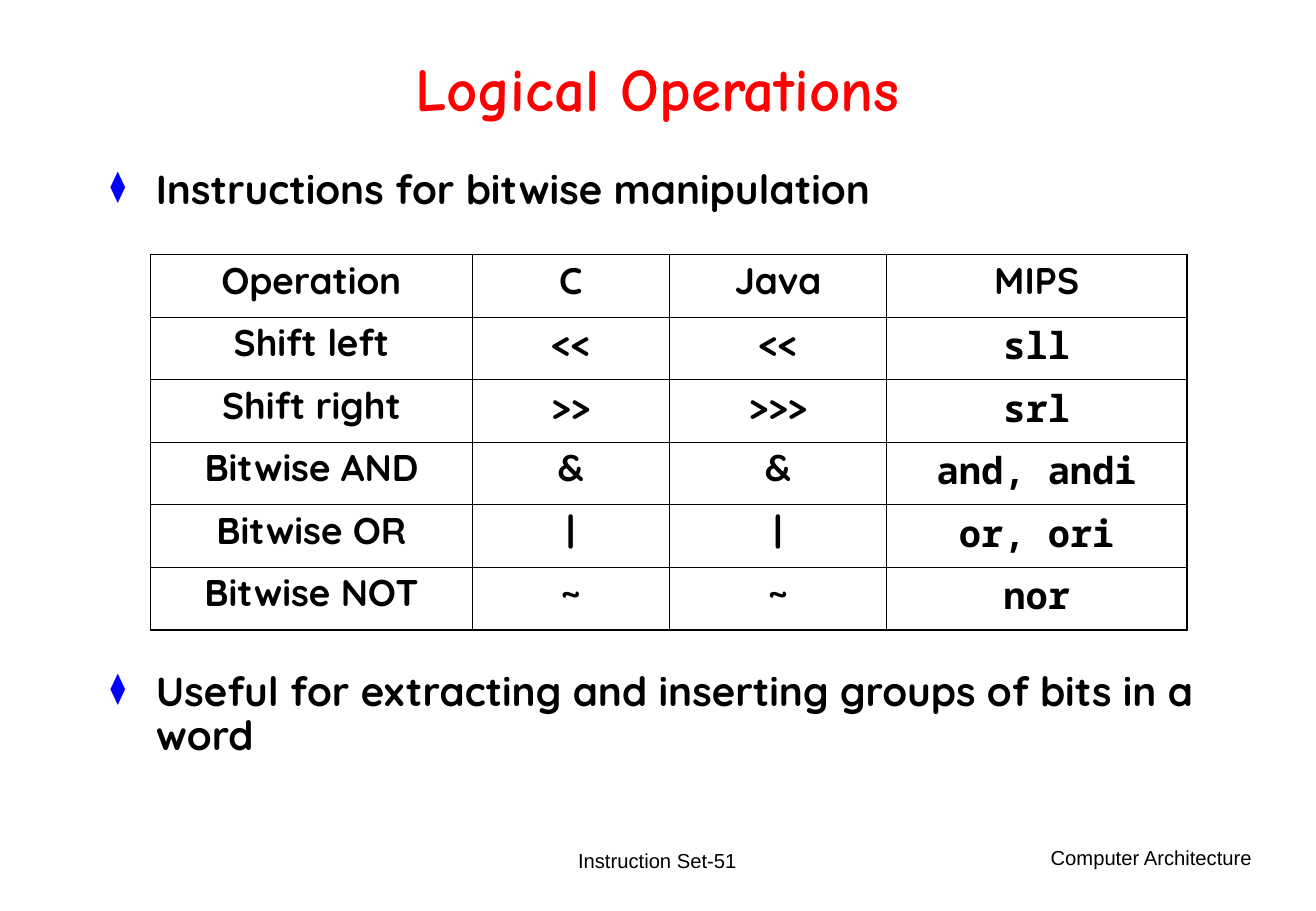
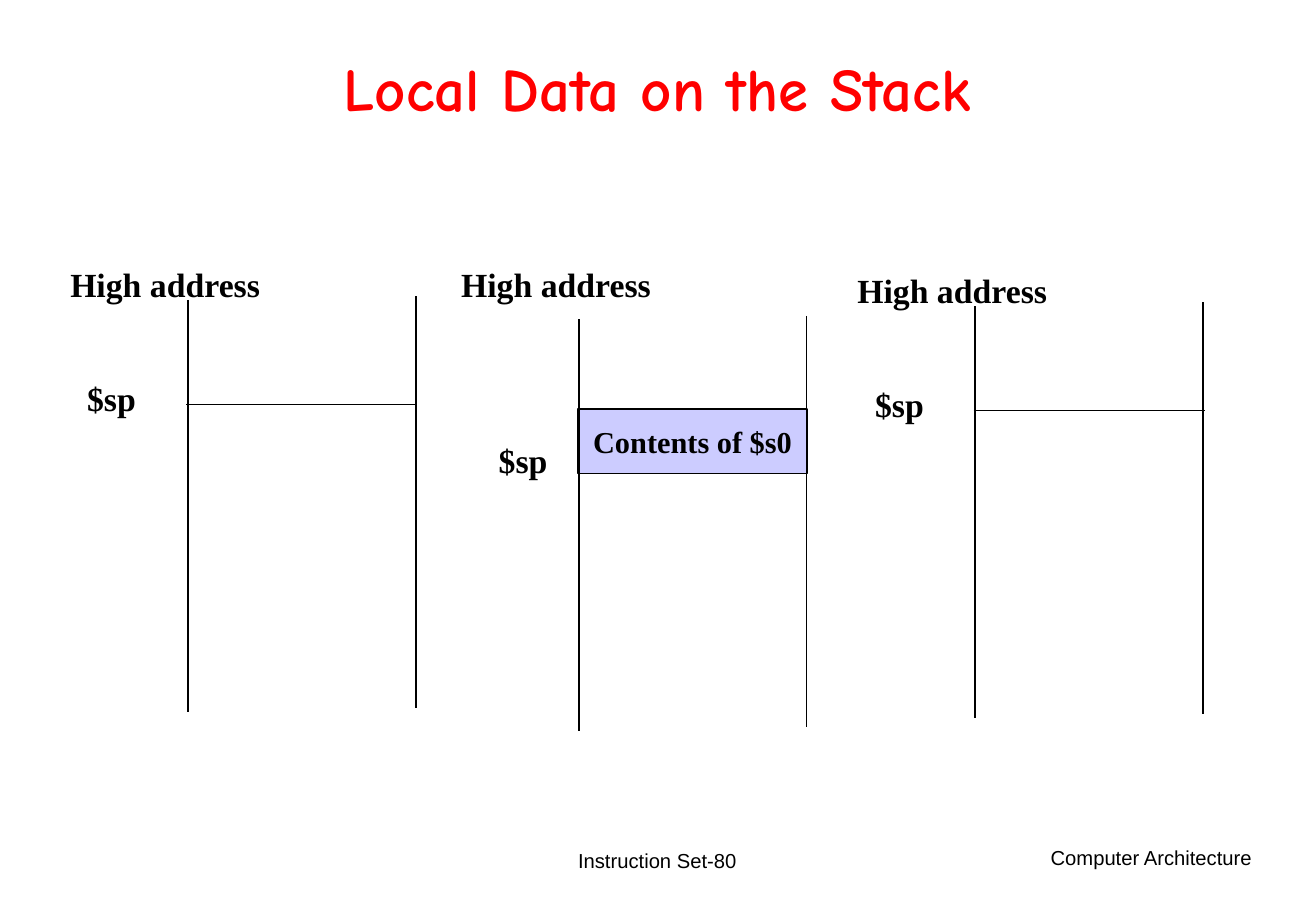
"""Build two computer architecture slides: logical operations and local data on the stack."""
from lxml import etree
from pptx import Presentation
from pptx.dml.color import RGBColor
from pptx.enum import shapes, text
from pptx.oxml import ns
from pptx.util import Pt

BLACK, RED, BLUE, LILAC = "000000", "FF0000", "0000FF", "CCCCFF"
TITLE_FONT, BODY_FONT, CODE_FONT = "Comic Neue", "Quicksand", "Noto Sans Mono"
FOOTER_FONT, DIAGRAM_FONT = "Arial", "Times New Roman"
LEFT, CENTER, RIGHT = text.PP_ALIGN.LEFT, text.PP_ALIGN.CENTER, text.PP_ALIGN.RIGHT
TOP, MIDDLE = text.MSO_ANCHOR.TOP, text.MSO_ANCHOR.MIDDLE
color = RGBColor.from_string


def write(frame, words, font, size, ink=BLACK, bold=True, align=LEFT, anchor=TOP, spacing=1.0, wrap=True):
    """Write one formatted run into a text frame and return its paragraph."""
    frame.word_wrap = wrap
    frame.vertical_anchor = anchor
    paragraph = frame.paragraphs[0]
    paragraph.alignment = align
    paragraph.line_spacing = spacing
    run = paragraph.add_run()
    run.text = words
    run.font.name = font
    run.font.size = Pt(size)
    run.font.bold = bold
    run.font.color.rgb = color(ink)
    return paragraph


def add_box(slide, left, top, width, height):
    """Add a text box and return its text frame."""
    return slide.shapes.add_textbox(Pt(left), Pt(top), Pt(width), Pt(height)).text_frame


presentation = Presentation()
presentation.slide_width = Pt(780.48)
presentation.slide_height = Pt(540)

slides = []
for title, number in [("Logical Operations", 51), ("Local Data on the Stack", 80)]:
    slide = presentation.slides.add_slide(presentation.slide_layouts[5])
    heading = slide.shapes.title
    heading.left, heading.top, heading.width, heading.height = Pt(58.3), Pt(19.4), Pt(663), Pt(71.3)
    heading.text_frame.auto_size = text.MSO_AUTO_SIZE.NONE
    write(heading.text_frame, title, TITLE_FONT, 36, RED, align=CENTER, anchor=MIDDLE, spacing=0.85)
    write(add_box(slide, 584.6, 497.5, 165, 36), "Computer Architecture", FOOTER_FONT, 12,
          bold=False, align=RIGHT)
    write(add_box(slide, 266.4, 491.8, 247, 36), f"Instruction Set-{number}", FOOTER_FONT, 12,
          bold=False, align=CENTER, anchor=MIDDLE)
    slides.append(slide)
operations_slide, stack_slide = slides

for top, height, words in [
    (97.2, 54, "Instructions for bitwise manipulation"),
    (394.6, 85, "Useful for extracting and inserting groups of bits in a word"),
]:
    paragraph = write(add_box(operations_slide, 58.3, top, 663, height), words, BODY_FONT, 24, spacing=0.9)
    properties = paragraph._p.get_or_add_pPr()
    properties.set("marL", str(Pt(27)))
    properties.set("indent", str(Pt(-27)))
    bullet_color = etree.SubElement(properties, ns.qn("a:buClr"))
    etree.SubElement(bullet_color, ns.qn("a:srgbClr"), val=BLUE)
    etree.SubElement(properties, ns.qn("a:buSzPct"), val="75000")
    etree.SubElement(properties, ns.qn("a:buChar"), char="⧫")

operations = [
    ("Operation", "C", "Java", "MIPS"),
    ("Shift left", "<<", "<<", "sll"),
    ("Shift right", ">>", ">>>", "srl"),
    ("Bitwise AND", "&", "&", "and, andi"),
    ("Bitwise OR", "|", "|", "or, ori"),
    ("Bitwise NOT", "~", "~", "nor"),
]
column_widths = [190.8, 116.9, 128.9, 178]
row_height = 37.1
last_row, last_column = len(operations) - 1, len(column_widths) - 1
table = operations_slide.shapes.add_table(
    len(operations), len(column_widths), Pt(89.3), Pt(150.9),
    Pt(sum(column_widths)), Pt(row_height * len(operations))).table
table.first_row = table.horz_banding = False
for column, width in zip(table.columns, column_widths):
    column.width = Pt(width)
for row_index, row in enumerate(operations):
    table.rows[row_index].height = Pt(row_height)
    for column_index, words in enumerate(row):
        cell = table.cell(row_index, column_index)
        font = CODE_FONT if row_index and column_index == last_column else BODY_FONT
        write(cell.text_frame, words, font, 22, align=CENTER, spacing=0.9)
        borders = {
            "a:lnL": 1.08 if column_index == 0 else 0.45,
            "a:lnR": 1.08 if column_index == last_column else 0.45,
            "a:lnT": {0: 1.08, 1: 0.75}.get(row_index, 0.45),
            "a:lnB": {0: 0.75, last_row: 1.08}.get(row_index, 0.45),
        }
        for tag, weight in borders.items():
            border = etree.SubElement(cell._tc.get_or_add_tcPr(), ns.qn(tag), w=str(Pt(weight)))
            fill = etree.SubElement(border, ns.qn("a:solidFill"))
            etree.SubElement(fill, ns.qn("a:srgbClr"), val=BLACK)
        cell.fill.background()

saved_register = stack_slide.shapes.add_shape(
    shapes.MSO_SHAPE.RECTANGLE, Pt(342.7), Pt(242.6), Pt(136.1), Pt(38.2))
saved_register.shadow.inherit = False
saved_register.fill.solid()
saved_register.fill.fore_color.rgb = color(LILAC)
saved_register.line.color.rgb = color(BLACK)
saved_register.line.width = Pt(1)
write(saved_register.text_frame, "Contents of $s0", DIAGRAM_FONT, 18, align=CENTER, anchor=MIDDLE, wrap=False)

wall_gap, wall_height = 135, 244
for wall_left, wall_top, address_top, pointer_left, pointer_top, level in [
    (111.6, 177.8, 152.6, 44.6, 220.3, 239.8),
    (343.4, 189.4, 152.6, 288.7, 257, None),
    (578.4, 181.4, 156.2, 511.9, 223.9, 243.4),
]:
    wall_right = wall_left + wall_gap
    lines = [
        (wall_left, wall_top, wall_left, wall_top + wall_height),
        (wall_right, wall_top - 2.2, wall_right, wall_top - 2.2 + wall_height),
    ]
    if level:
        lines.append((wall_left - 1, level, wall_right + 1, level))
    for ends in lines:
        line = stack_slide.shapes.add_connector(shapes.MSO_CONNECTOR.STRAIGHT, *map(Pt, ends))
        line.line.color.rgb = color(BLACK)
        line.line.width = Pt(1)
        etree.SubElement(line._element.spPr, ns.qn("a:effectLst"))
    write(add_box(stack_slide, wall_left - 77, address_top, 127.4, 31.7), "High address",
          DIAGRAM_FONT, 20, wrap=False)
    write(add_box(stack_slide, pointer_left, pointer_top, 43.2, 31.7), "$sp",
          DIAGRAM_FONT, 20, wrap=False)

presentation.save("out.pptx")
